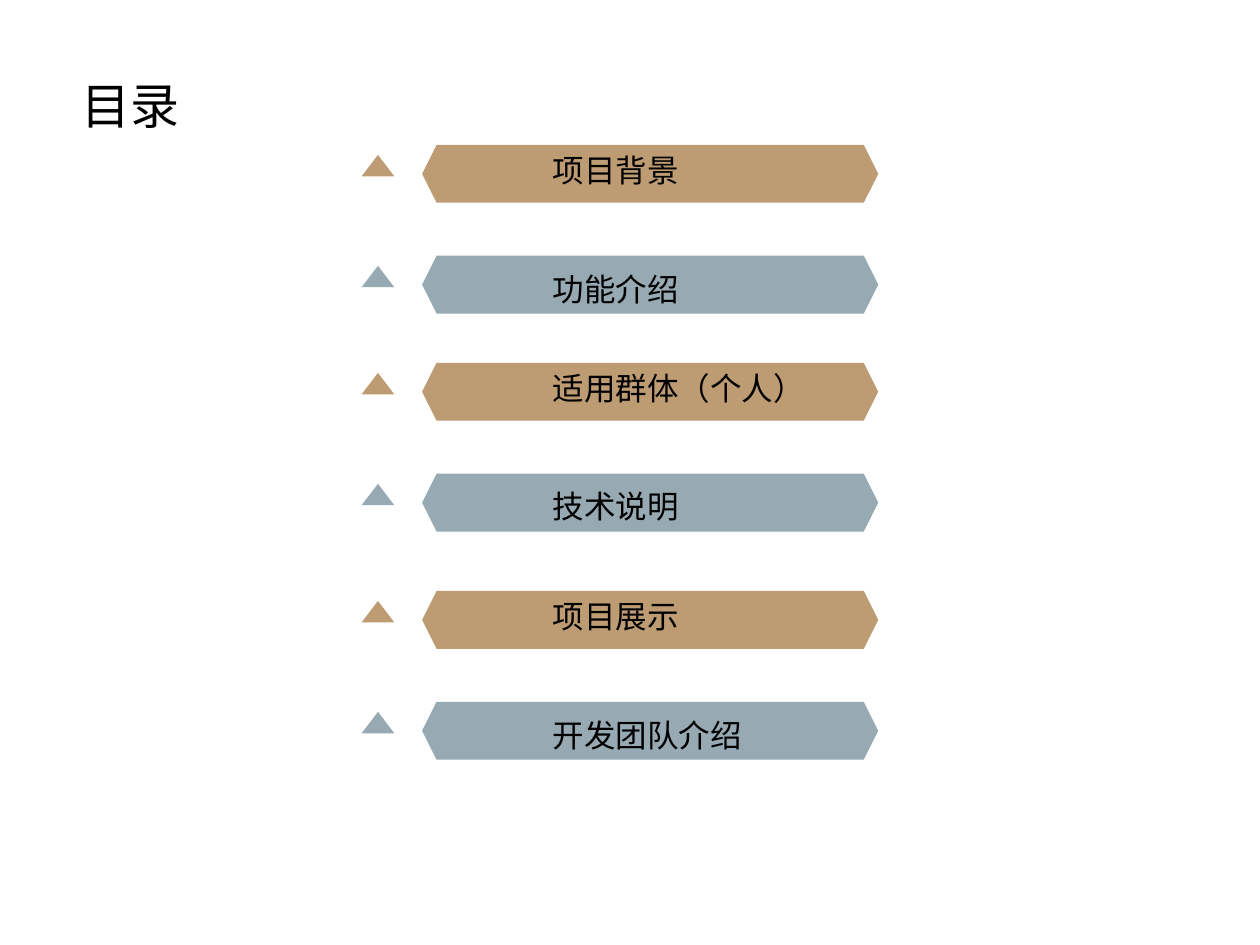
from lxml import etree
from pptx import Presentation
from pptx import util as u
from pptx.dml.color import RGBColor
from pptx.enum import shapes, text
from pptx.oxml import ns

HUES = {"tan": "BD9C73", "grey": "97A9B3", "ink": "000000"}
FONT = "Noto Sans CJK SC"
PAIRS = [
    (1.15, ("项目背景", "功能介绍")),
    (2.88, ("适用群体（个人）", "技术说明")),
    (4.69, ("项目展示", "开发团队介绍")),
]
STEP = 0.88
STYLES = [("tan", 0), ("grey", 0.06)]


def place(*sides):
    return [u.Inches(side) for side in sides]


def paint(slide, kind, box, hue):
    item = slide.shapes.add_shape(kind, *place(*box))
    item.shadow.inherit = False
    item.fill.solid()
    item.fill.fore_color.rgb = RGBColor.from_string(HUES[hue])
    item.line.fill.background()


def write(frame, words, size):
    frame.text = words
    frame.vertical_anchor = text.MSO_ANCHOR.TOP
    line = frame.paragraphs[0]
    line.alignment = text.PP_ALIGN.LEFT
    font = line.runs[0].font
    font.size = u.Pt(size)
    font.name = FONT
    font.color.rgb = RGBColor.from_string(HUES["ink"])
    east = etree.SubElement(line.runs[0]._r.get_or_add_rPr(), ns.qn("a:ea"))
    east.set("typeface", FONT)


def head(slide, words):
    title = slide.shapes.title
    title.left, title.top, title.width, title.height = place(0.55, 0.55, 1.09, 0.57)
    write(title.text_frame, words, 28)
    title.text_frame.auto_size = text.MSO_AUTO_SIZE.SHAPE_TO_FIT_TEXT


def label(slide, words, top):
    width = 0.2 + 0.25 * len(words)
    frame = slide.shapes.add_textbox(*place(4.29, top, width, 0.4)).text_frame
    write(frame, words, 18)
    frame.word_wrap = False
    frame.auto_size = text.MSO_AUTO_SIZE.SHAPE_TO_FIT_TEXT


def entry(slide, words, top, hue, drop):
    paint(slide, shapes.MSO_SHAPE.HEXAGON, (3.35, top, 3.62, 0.46), hue)
    paint(slide, shapes.MSO_SHAPE.ISOSCELES_TRIANGLE, (2.87, top + 0.08, 0.26, 0.17), hue)
    label(slide, words, top + drop)


def main():
    deck = Presentation()
    deck.slide_width, deck.slide_height = place(10, 7.5)
    slide = deck.slides.add_slide(deck.slide_layouts[5])
    head(slide, "目录")
    for start, names in PAIRS:
        for row, (words, (hue, drop)) in enumerate(zip(names, STYLES)):
            entry(slide, words, start + row * STEP, hue, drop)
    deck.save("out.pptx")


if __name__ == "__main__":
    main()
